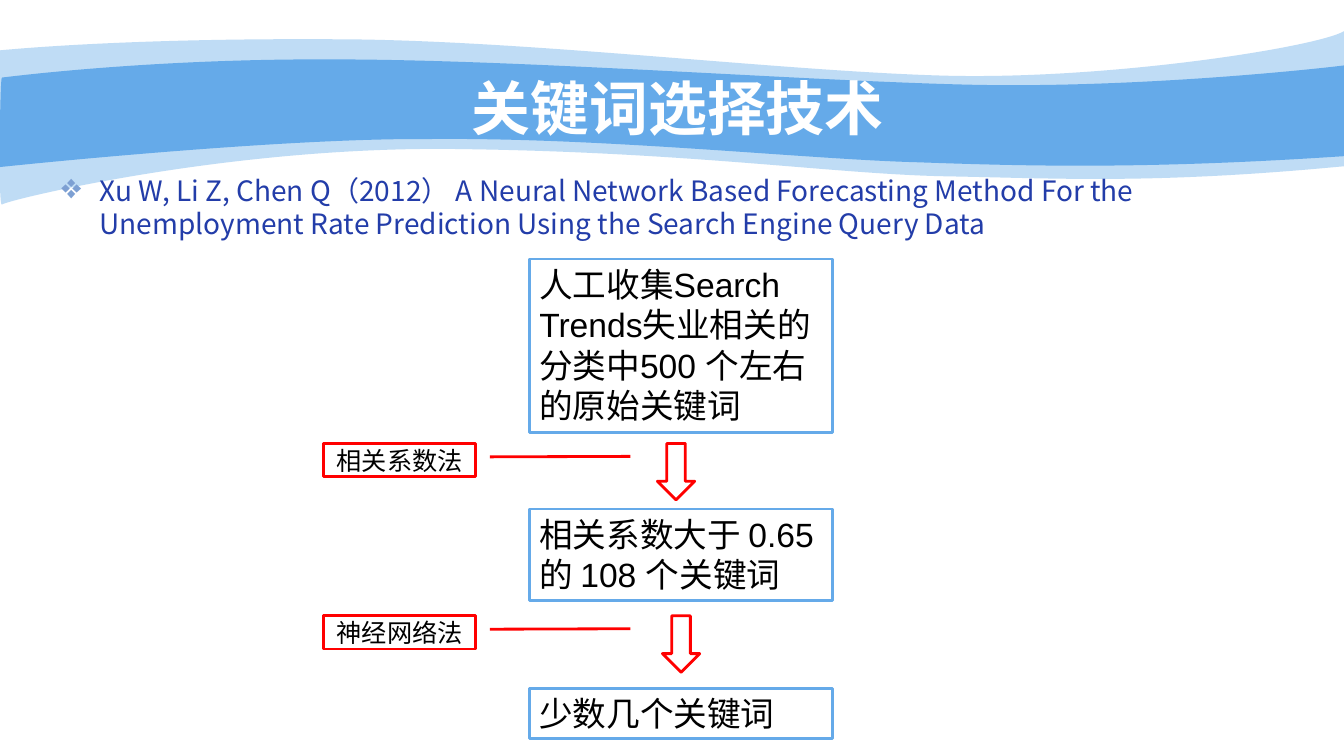
from itertools import chain

from lxml.etree import SubElement
from pptx import Presentation
from pptx.dml.color import RGBColor
from pptx.enum.shapes import MSO_SHAPE
from pptx.enum.text import MSO_ANCHOR, PP_ALIGN
from pptx.oxml.ns import qn
from pptx.util import Inches, Pt

BLUE = RGBColor(0x65, 0xAA, 0xE9)
NAVY = RGBColor(0x23, 0x3D, 0xA9)
RED = RGBColor(0xFF, 0x00, 0x00)
WHITE = RGBColor(0xFF, 0xFF, 0xFF)
BLACK = RGBColor(0x00, 0x00, 0x00)
BULLET_COLOR = RGBColor(0x7D, 0xA0, 0xD3)
CJK_FONT = "Noto Sans CJK SC"

# Wave outlines: start point, then lines (one point) and Bezier curves (three)
PALE_WAVE = [
    [(0, 0.5)],
    [(0.32, 0.47), (1.43, 0.38), (3.29, 0.39)],
    [(5.14, 0.39), (7.67, 0.7), (9.32, 0.75)],
    [(10.96, 0.8), (13.06, 0.47), (13.33, 0.31)],
    [(13.33, 1.65)],
    [(11.44, 1.83), (10.5, 1.77), (9.39, 1.75)],
    [(8.29, 1.73), (6.87, 1.51), (4.58, 1.48)],
    [(2.29, 1.44), (0.05, 1.99), (0.02, 2.03)],
    [(-0.02, 2.08), (0, 0.75), (0, 0.5)],
]
STRONG_WAVE = [
    [(0.02, 0.77)],
    [(0.03, 0.77), (1.46, 0.58), (3.31, 0.59)],
    [(5.15, 0.59), (7.94, 0.8), (9.58, 0.84)],
    [(11.22, 0.88), (13.01, 0.69), (13.33, 0.65)],
    [(13.33, 1.55)],
    [(11.37, 1.68), (10.21, 1.65), (9.09, 1.61)],
    [(7.99, 1.58), (5.96, 1.36), (4.23, 1.38)],
    [(2.71, 1.37), (-0.03, 1.66), (-0.02, 1.66)],
    [(0, 1.66), (0, 0.77), (0.02, 0.77)],
]

# Flow steps: top, height, text
STEPS = [
    (2.57, 1.72, "人工收集Search Trends失业相关的分类中500 个左右的原始关键词"),
    (5.05, 0.91, "相关系数大于 0.65 的 108 个关键词"),
    (6.83, 0.5, "少数几个关键词"),
]
# Methods between the steps: top, arrow left, text
METHODS = [(4.4, 6.52, "相关系数法"), (6.11, 6.57, "神经网络法")]


def bend_curves(wave, segments):
    """Turn each run of three straight segments of a curve into one Bezier."""
    lines = wave._element.iter(qn("a:lnTo"))
    for segment in segments[1:]:
        pieces = [next(lines) for _ in segment]
        if len(pieces) == 3:
            curve = pieces[0].makeelement(qn("a:cubicBezTo"))
            yield curve, pieces


def add_wave(slide, segments, alpha=None):
    corners = [(Inches(x), Inches(y)) for x, y in chain.from_iterable(segments)]
    builder = slide.shapes.build_freeform(*corners[0])
    builder.add_line_segments(corners[1:], close=True)
    wave = builder.convert_to_shape()
    for curve, pieces in list(bend_curves(wave, segments)):
        pieces[0].addprevious(curve)
        for piece in pieces:
            curve.append(piece[0])
            piece.getparent().remove(piece)
    wave.shadow.inherit = False
    wave.fill.solid()
    wave.fill.fore_color.rgb = BLUE
    wave.line.fill.background()
    if alpha:
        color = wave._element.spPr.find(qn("a:solidFill"))[0]
        SubElement(color, qn("a:alpha"), val=str(alpha * 1000))


def write(shape, text, size, color, font="Arial", bold=False,
          align=PP_ALIGN.LEFT, anchor=MSO_ANCHOR.TOP):
    frame = shape.text_frame
    frame.word_wrap = True
    frame.vertical_anchor = anchor
    paragraph = frame.paragraphs[0]
    paragraph.alignment = align
    run = paragraph.add_run()
    run.text = text
    for name, value in {"size": Pt(size), "name": font, "bold": bold}.items():
        setattr(run.font, name, value)
    run.font.color.rgb = color
    if font == CJK_FONT:
        SubElement(run.font._element, qn("a:ea"), typeface=font)
    return paragraph


def add_outlined(slide, kind, box, line_color, fill=None):
    shape = slide.shapes.add_shape(kind, *map(Inches, box))
    shape.shadow.inherit = False
    if fill is None:
        shape.fill.background()
    else:
        shape.fill.solid()
        shape.fill.fore_color.rgb = fill
    shape.line.color.rgb = line_color
    shape.line.width = Pt(2)
    return shape


def add_title(slide, text):
    title = slide.shapes.add_textbox(Inches(1.33), Inches(0.75), Inches(10.78), Inches(0.62))
    write(title, text, 42, WHITE, CJK_FONT, True, PP_ALIGN.CENTER, MSO_ANCHOR.MIDDLE)


def add_citation(slide, text):
    citation = slide.shapes.add_textbox(Inches(0.51), Inches(1.67), Inches(11.5), Inches(0.7))
    paragraph = write(citation, text, 20, NAVY, CJK_FONT)
    properties = paragraph._p.get_or_add_pPr()
    properties.set("marL", str(Inches(0.38)))
    properties.set("indent", str(-Inches(0.38)))
    bullet_color = SubElement(properties, qn("a:buClr"))
    SubElement(bullet_color, qn("a:srgbClr"), val=str(BULLET_COLOR))
    SubElement(properties, qn("a:buSzPct"), val="125000")
    SubElement(properties, qn("a:buChar"), char="❖")


def add_step(slide, top, height, text):
    step = add_outlined(slide, MSO_SHAPE.RECTANGLE, (5.25, top, 3.01, height), BLUE, WHITE)
    write(step, text, 24, BLACK)


def add_method(slide, top, arrow_left, text):
    add_outlined(slide, MSO_SHAPE.DOWN_ARROW, (arrow_left, top, 0.37, 0.56), RED)
    # Mirrored callout whose leader points right, towards the arrow
    label = add_outlined(slide, MSO_SHAPE.LINE_CALLOUT_1, (3.21, top, 1.51, 0.33), RED)
    label._element.spPr.find(qn("a:xfrm")).set("flipH", "1")
    for index, value in enumerate((0.403, -0.093, 0.388, -1.015)):
        label.adjustments[index] = value
    write(label, text, 18, BLACK, align=PP_ALIGN.CENTER, anchor=MSO_ANCHOR.MIDDLE)


def main():
    deck = Presentation()
    deck.slide_width, deck.slide_height = Inches(13.33), Inches(7.5)
    slide = deck.slides.add_slide(deck.slide_layouts[6])

    # Header
    add_wave(slide, PALE_WAVE, alpha=41)
    add_wave(slide, STRONG_WAVE)
    add_title(slide, "关键词选择技术")
    add_citation(slide, "Xu W, Li Z, Chen Q（2012） A Neural Network Based Forecasting Method "
                        "For the Unemployment Rate Prediction Using the Search Engine Query Data")

    # Keyword selection flow
    for step in STEPS:
        add_step(slide, *step)
    for method in METHODS:
        add_method(slide, *method)

    deck.save("out.pptx")


if __name__ == "__main__":
    main()
